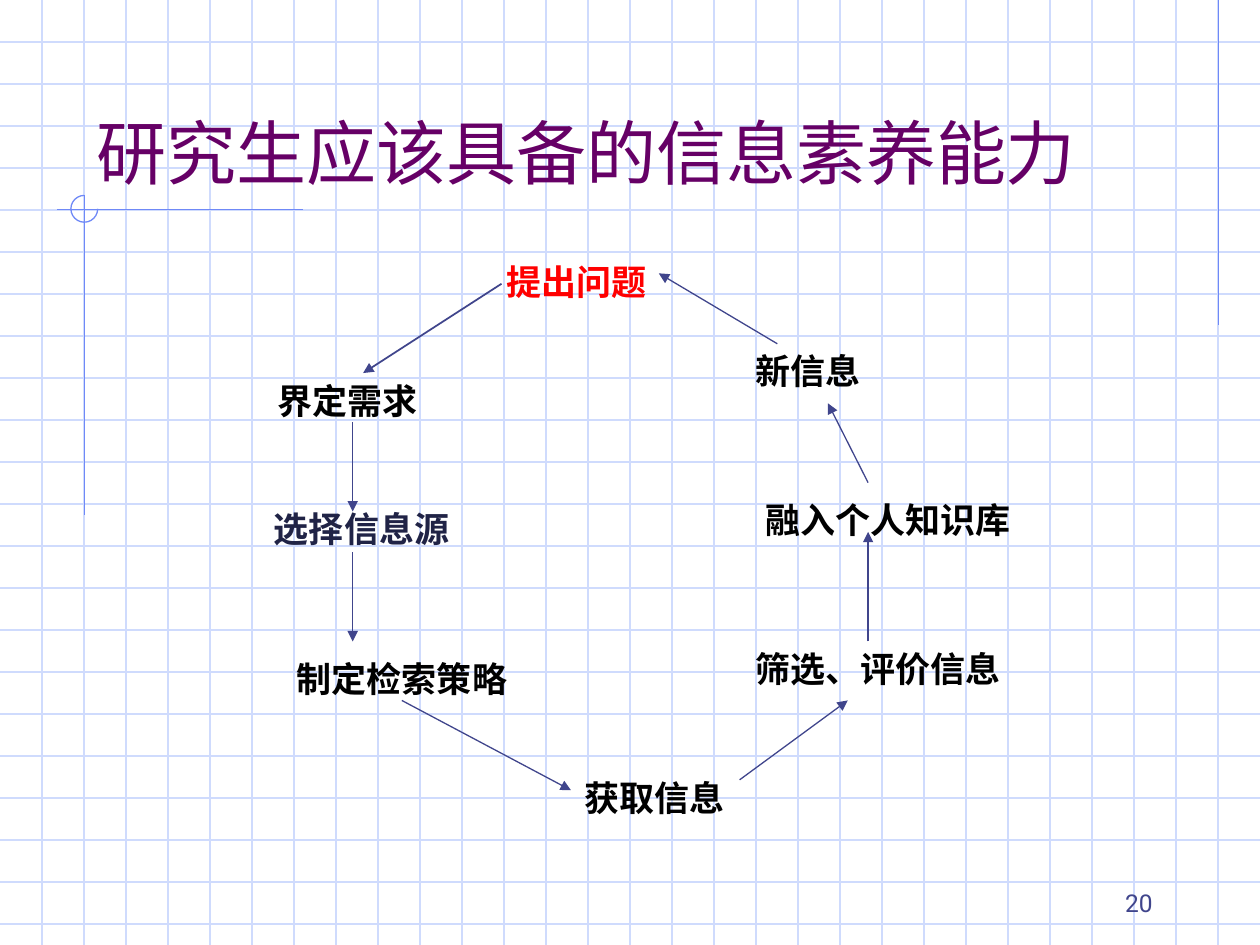
"""Build a slide with the cycle of information literacy skills."""
from lxml import etree
from pptx import Presentation
from pptx.dml.color import RGBColor
from pptx.enum.shapes import MSO_CONNECTOR, MSO_SHAPE
from pptx.enum.text import MSO_ANCHOR, MSO_AUTO_SIZE, PP_ALIGN
from pptx.oxml.ns import qn
from pptx.util import Cm, Pt

LINE, ARC = MSO_CONNECTOR.STRAIGHT, MSO_SHAPE.ARC
LOW, TOP = MSO_ANCHOR.BOTTOM, MSO_ANCHOR.TOP
LEFT, MID, RIGHT = PP_ALIGN.LEFT, PP_ALIGN.CENTER, PP_ALIGN.RIGHT
FIT, FIXED = MSO_AUTO_SIZE.SHAPE_TO_FIT_TEXT, MSO_AUTO_SIZE.NONE

COLORS = {
    "grid": "CFDBFD", "rule": "6F89F7", "title": "660066", "arrow": "40458C",
    "start": "FF0000", "step": "000000", "source": "202346",
}
WIDE, HIGH = 25.4, 19.05
CELL = 2.54 / 3
STEP_H = 1.12

TITLE = "研究生应该具备的信息素养能力"
PAGE = "20"
STEPS = [
    ("提出问题", 9.96, 5.13, 3.33, "start"),
    ("界定需求", 5.11, 7.52, 3.81, "step"),
    ("选择信息源", 4.7, 10.11, 5.18, "source"),
    ("制定检索策略", 5.31, 13.13, 5.59, "step"),
    ("获取信息", 10.69, 15.52, 5, "step"),
    ("筛选、评价信息", 14.91, 12.93, 5.59, "step"),
    ("融入个人知识库", 14.91, 9.93, 5.99, "step"),
    ("新信息", 13.89, 6.93, 4.8, "step"),
]
ARROWS = [
    (10.11, 5.72, 7.32, 7.52, 1),
    (7.11, 8.51, 7.11, 10.31, 0.75),
    (7.11, 11.13, 7.11, 12.93, 0.75),
    (8.1, 14.12, 11.51, 15.93, 0.75),
    (14.91, 15.72, 17.09, 14.12, 0.75),
    (17.5, 12.93, 17.5, 10.72, 0.75),
    (17.5, 9.73, 16.69, 8.13, 0.75),
    (15.67, 6.93, 13.28, 5.51, 0.75),
]
RULES = [
    (24.56, 0, 24.56, 6.55),
    (6.1, 4.22, 1.14, 4.22),
    (1.7, 3.94, 1.7, 10.39),
]


def tint(name):
    return RGBColor.from_string(COLORS[name])


def draw_line(slide, ends, color, width=0.75):
    line = slide.shapes.add_connector(LINE, *map(Cm, ends))
    line.line.color.rgb = tint(color)
    line.line.width = Pt(width)
    etree.SubElement(line.element.spPr, qn("a:effectLst"))
    return line


def draw_arrow(slide, ends, width):
    line = draw_line(slide, ends, "arrow", width)
    tail = etree.SubElement(line.line._get_or_add_ln(), qn("a:tailEnd"))
    tail.set("type", "triangle")


def place(shape, left, top, width, height):
    shape.left, shape.top = Cm(left), Cm(top)
    shape.width, shape.height = Cm(width), Cm(height)


def write(shape, text, font, size, color, align, anchor, bold=False):
    frame = shape.text_frame
    frame.word_wrap = True
    frame.auto_size = FIXED
    frame.vertical_anchor = anchor
    para = frame.paragraphs[0]
    para.alignment = align
    run = para.add_run()
    run.text = text
    run.font.name, run.font.size, run.font.bold = font, Pt(size), bold
    run.font.color.rgb = tint(color)
    return frame


def draw_back(slide):
    for row in range(1, int(HIGH / CELL) + 1):
        draw_line(slide, (0, row * CELL, WIDE, row * CELL), "grid")
    for col in range(1, round(WIDE / CELL)):
        draw_line(slide, (col * CELL, 0, col * CELL, HIGH), "grid")
    for ends in RULES:
        draw_line(slide, ends, "rule")
    arc = slide.shapes.add_shape(ARC, Cm(1.43), Cm(3.94), Cm(0.54), Cm(0.54))
    arc.adjustments[0], arc.adjustments[1] = 0, 162
    arc.shadow.inherit = False
    arc.fill.background()
    arc.line.color.rgb = tint("rule")
    arc.line.width = Pt(0.75)


def main():
    deck = Presentation()
    deck.slide_width, deck.slide_height = Cm(WIDE), Cm(HIGH)
    slide = deck.slides.add_slide(deck.slide_layouts.get_by_name("Title Only"))
    draw_back(slide)

    title = slide.shapes.title
    title.element.getparent().append(title.element)
    place(title, 1.7, 0.84, 21.59, 3.18)
    write(title, TITLE, "Roboto", 40, "title", LEFT, LOW)

    for text, left, top, width, color in STEPS:
        box = slide.shapes.add_textbox(*map(Cm, (left, top, width, STEP_H)))
        frame = write(box, text, "Arial Narrow", 20, color, MID, TOP, True)
        frame.auto_size = FIT
        frame.word_wrap = color != "start"
    for *ends, width in ARROWS:
        draw_arrow(slide, ends, width)

    page = slide.shapes.add_textbox(*map(Cm, (18.21, 17.35, 5.28, 1.27)))
    write(page, PAGE, "Roboto", 14, "arrow", RIGHT, LOW)
    deck.save("out.pptx")


if __name__ == "__main__":
    main()
